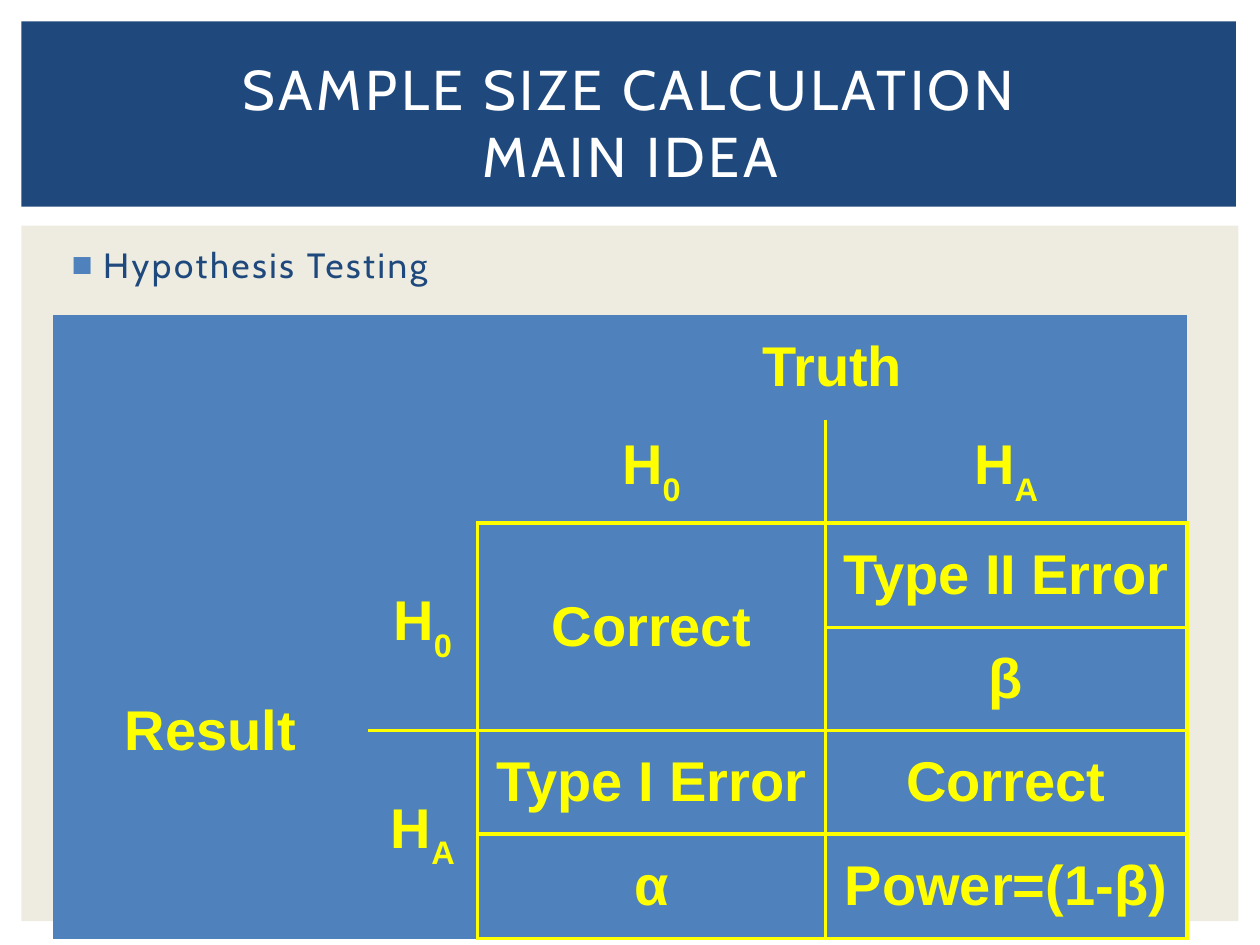
import pptx
import pptx.dml.color
import pptx.enum.shapes
import pptx.enum.text
import pptx.oxml
import pptx.oxml.ns
import pptx.util
from pptx.util import Inches

COLORS = {
    "navy": "1F497D",
    "blue": "4F81BD",
    "cream": "EEECE1",
    "yellow": "FFFF00",
    "white": "FFFFFF",
}
NO_GRID_STYLE = "{2D5ABB26-0587-4C30-8999-92F81FD0307C}"
COLUMN_WIDTHS = [2.5, 0.87, 2.76, 2.87]
ROW_HEIGHTS = [0.83, 0.82, 0.83, 0.82, 0.82, 0.83]

# (row, column): text, rows spanned, columns spanned, bordered sides;
# an underscore starts a subscript
CELLS = {
    (0, 2): ("Truth", 1, 2, ""),
    (1, 2): ("H_0", 1, 1, "RB"),
    (1, 3): ("H_A", 1, 1, "LB"),
    (2, 0): ("Result", 4, 1, ""),
    (2, 1): ("H_0", 2, 1, "RB"),
    (2, 2): ("Correct", 2, 1, "LRTB"),
    (2, 3): ("Type II Error", 1, 1, "LRT"),
    (3, 3): ("β", 1, 1, "LRB"),
    (4, 1): ("H_A", 2, 1, "RT"),
    (4, 2): ("Type I Error", 1, 1, "LRT"),
    (4, 3): ("Correct", 1, 1, "LRT"),
    (5, 2): ("α", 1, 1, "LRB"),
    (5, 3): ("Power=(1-β)", 1, 1, "LRB"),
}


def rgb(name):
    return pptx.dml.color.RGBColor.from_string(COLORS[name])


def xml(tag, content, attributes=""):
    namespace = pptx.oxml.ns.nsdecls("a")
    return pptx.oxml.parse_xml(f"<a:{tag} {namespace} {attributes}>{content}</a:{tag}>")


def solid(name):
    return f'<a:solidFill><a:srgbClr val="{COLORS[name]}"/></a:solidFill>'


class SlideBuilder:
    heading_font = "Cabin"
    table_font = "Arial"
    large = pptx.util.Pt(32)
    border_width = pptx.util.Pt(2.25)

    def __init__(self, slide):
        self.slide = slide

    def panel(self, left, top, width, height, color):
        shape = self.slide.shapes.add_shape(
            pptx.enum.shapes.MSO_SHAPE.RECTANGLE,
            Inches(left), Inches(top), Inches(width), Inches(height))
        shape.shadow.inherit = False
        shape.fill.solid()
        shape.fill.fore_color.rgb = rgb(color)
        shape.line.fill.background()

    def text(self, left, top, width, height, lines, size, color, spacing):
        box = self.slide.shapes.add_textbox(
            Inches(left), Inches(top), Inches(width), Inches(height))
        box.text_frame.word_wrap = True
        para = box.text_frame.paragraphs[0]
        self.style(para, self.heading_font, size, color)
        for index, line in enumerate(lines):
            if index:
                para.add_line_break()
            span = para.add_run()
            span.text = line
            span._r.get_or_add_rPr().set("spc", str(spacing))
        return box.text_frame

    def style(self, para, font, size, color):
        para.font.name = font
        para.font.size = size
        para.font.color.rgb = rgb(color)

    def bullet(self, para, color):
        properties = para._p.get_or_add_pPr()
        properties.set("marL", str(Inches(0.3)))
        properties.set("indent", str(Inches(-0.25)))
        marks = [xml("buClr", f'<a:srgbClr val="{COLORS[color]}"/>'),
                 xml("buFont", "", 'typeface="Arial"'),
                 xml("buChar", "", 'char="■"')]
        for position, mark in enumerate(marks):
            properties.insert(position, mark)

    def table(self, left, top, widths, heights, cells):
        frame = self.slide.shapes.add_table(
            len(heights), len(widths), Inches(left), Inches(top),
            Inches(sum(widths)), Inches(sum(heights)))
        table = frame.table
        table.first_row = table.horz_banding = False
        for style_id in frame._element.iter(pptx.oxml.ns.qn("a:tableStyleId")):
            style_id.text = NO_GRID_STYLE
        for column, width in zip(table.columns, widths):
            column.width = Inches(width)
        for row, height in zip(table.rows, heights):
            row.height = Inches(height)
        for (row, column), (text, rows, columns, sides) in cells.items():
            cell = table.cell(row, column)
            last_row = row + rows - 1
            if rows * columns > 1:
                cell.merge(table.cell(last_row, column + columns - 1))
            self.cell_text(cell, text)
            for line in range(row, last_row + 1):
                hidden = ("T" if line > row else "") + ("B" if line < last_row else "")
                # The first cell of a merged block carries all of its borders
                shown = sides if line == row else [s for s in sides if s not in hidden]
                self.borders(table.cell(line, column), shown)
        for cell in table.iter_cells():
            cell.fill.solid()
            cell.fill.fore_color.rgb = rgb("blue")

    def cell_text(self, cell, text):
        cell.vertical_anchor = pptx.enum.text.MSO_ANCHOR.MIDDLE
        para = cell.text_frame.paragraphs[0]
        para.alignment = pptx.enum.text.PP_ALIGN.CENTER
        self.style(para, self.table_font, self.large, "yellow")
        para.font.bold = True
        for index, part in enumerate(text.split("_")):
            span = para.add_run()
            span.text = part
            if index:
                span._r.get_or_add_rPr().set("baseline", "-30000")

    def borders(self, cell, sides):
        properties = cell._tc.get_or_add_tcPr()
        for side in sides:
            properties.append(
                xml(f"ln{side}", solid("yellow"), f'w="{self.border_width}"'))


def main():
    deck = pptx.Presentation()
    deck.slide_width, deck.slide_height = Inches(10), Inches(7.5)
    page = SlideBuilder(deck.slides.add_slide(deck.slide_layouts[6]))

    # Background panels
    page.panel(0.17, 1.79, 9.66, 5.52, "cream")
    page.panel(0.17, 0.17, 9.64, 1.47, "navy")

    # Bullet line
    body = page.text(0.42, 1.88, 9.19, 0.5, ["Hypothesis Testing"],
                     pptx.util.Pt(20), "navy", 150)
    page.bullet(body.paragraphs[0], "blue")

    # Title
    title = page.text(0.42, 0.39, 9.17, 1.15,
                      ["SAMPLE SIZE CALCULATION", "MAIN IDEA"],
                      page.large, "white", 200)
    title.vertical_anchor = pptx.enum.text.MSO_ANCHOR.MIDDLE
    title.paragraphs[0].alignment = pptx.enum.text.PP_ALIGN.CENTER

    # Truth against result
    page.table(0.42, 2.5, COLUMN_WIDTHS, ROW_HEIGHTS, CELLS)

    deck.save("out.pptx")


if __name__ == "__main__":
    main()
